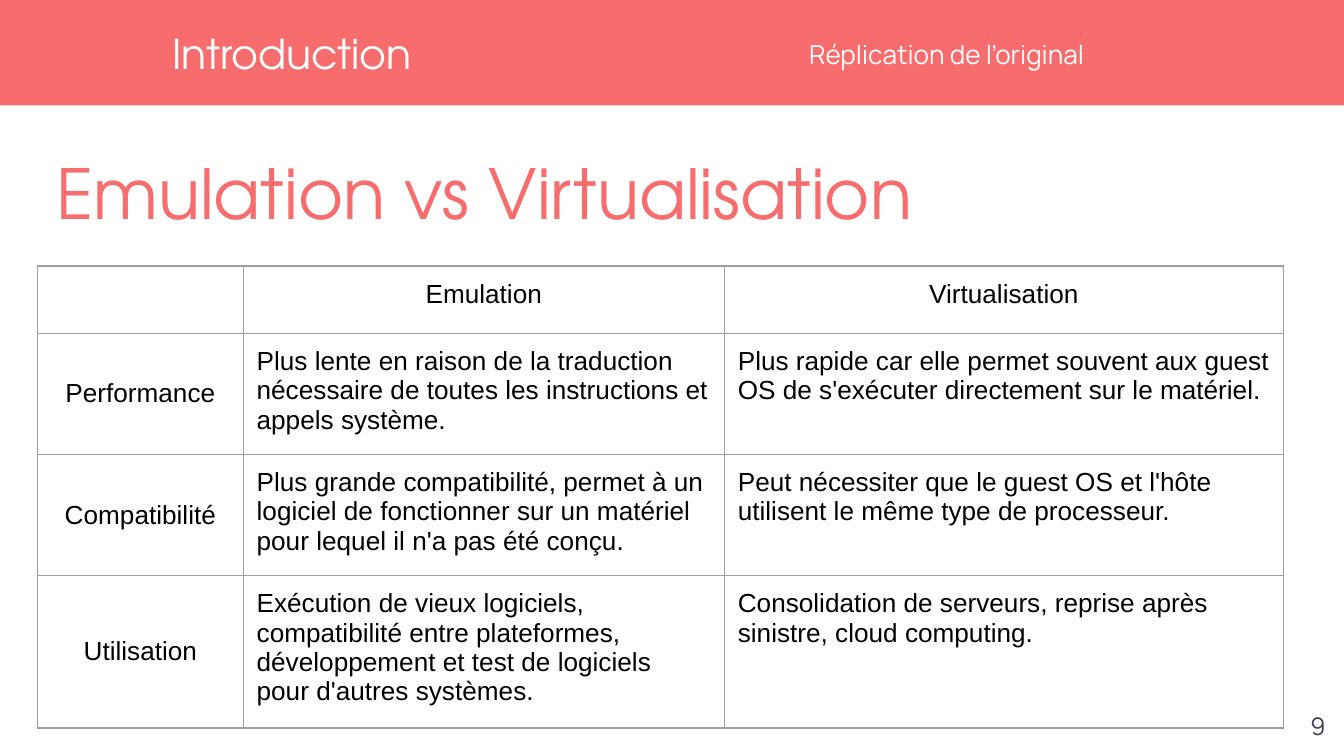
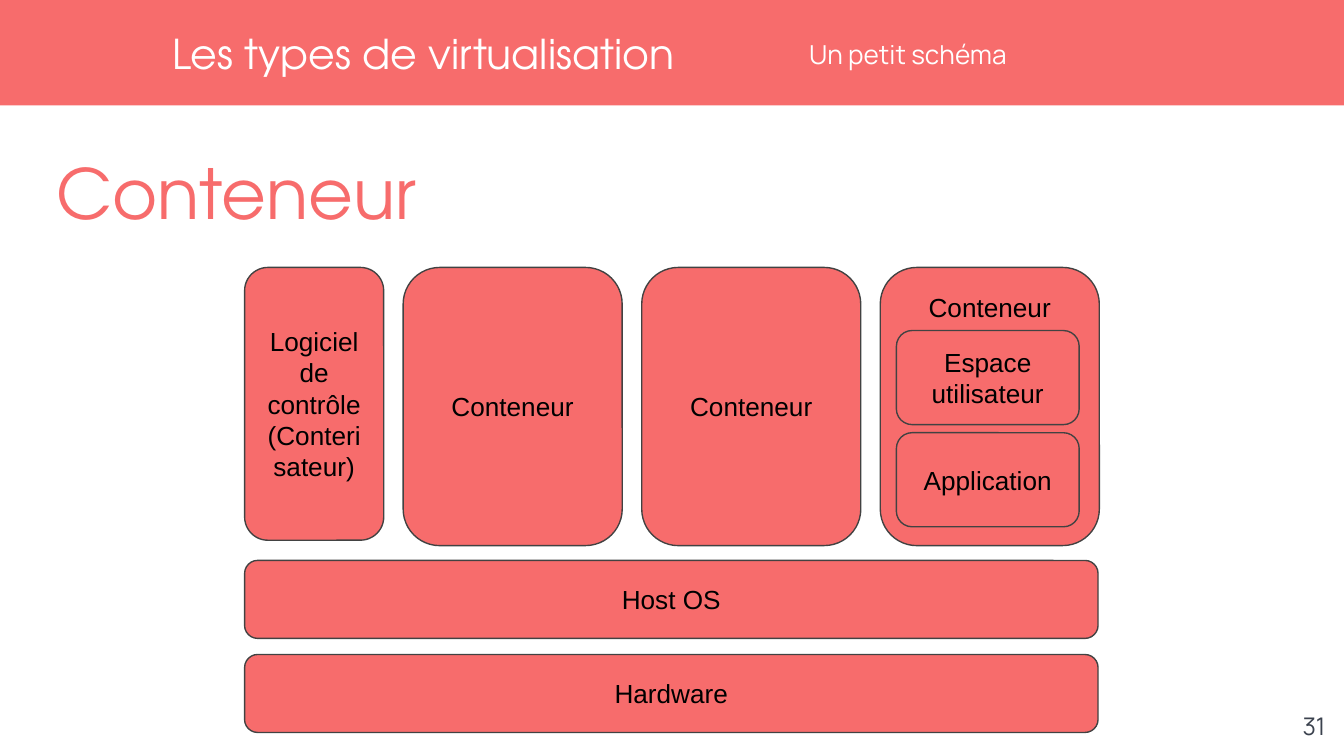
"""Build two course slides: a comparison table and a container diagram."""
from dataclasses import dataclass

from lxml import etree
from pptx import Presentation
from pptx.dml.color import RGBColor
from pptx.enum.shapes import MSO_SHAPE
from pptx.enum.text import MSO_ANCHOR, PP_ALIGN
from pptx.oxml.ns import qn
from pptx.slide import Slide
from pptx.table import _Cell
from pptx.text.text import TextFrame
from pptx.util import Emu, Pt

PX_PER_INCH = 200
EMU_PER_PX = 914400 // PX_PER_INCH
SLIDE_WIDTH, SLIDE_HEIGHT = 2000, 1125
INSET = 20

CORAL = RGBColor(0xF7, 0x6C, 0x6C)
WHITE = RGBColor(0xFF, 0xFF, 0xFF)
BLACK = RGBColor(0x00, 0x00, 0x00)
SLATE = RGBColor(0x3B, 0x42, 0x4E)
OUTLINE = RGBColor(0x42, 0x42, 0x42)
GRID = RGBColor(0x9E, 0x9E, 0x9E)

RECTANGLE = MSO_SHAPE.RECTANGLE
ROUNDED = MSO_SHAPE.ROUNDED_RECTANGLE
TOP, MIDDLE = MSO_ANCHOR.TOP, MSO_ANCHOR.MIDDLE
LEFT, CENTER, RIGHT = PP_ALIGN.LEFT, PP_ALIGN.CENTER, PP_ALIGN.RIGHT

LINE_WIDTH = Pt(0.75)
CORNER = 0.167


@dataclass(frozen=True)
class Box:
    """A rectangle in px."""

    left: int
    top: int
    width: int
    height: int

    def emu(self) -> tuple[Emu, Emu, Emu, Emu]:
        """Return the rectangle in EMU."""
        return px(self.left), px(self.top), px(self.width), px(self.height)


@dataclass(frozen=True)
class TextStyle:
    """The look of a text: font, colour, alignment, anchor and inset."""

    font: str
    size: int
    color: RGBColor
    align: PP_ALIGN = LEFT
    anchor: MSO_ANCHOR = TOP
    inset: int = 0


@dataclass(frozen=True)
class Block:
    """One labelled block of the diagram."""

    label: str
    box: Box
    anchor: MSO_ANCHOR = MIDDLE


@dataclass(frozen=True)
class Header:
    """The texts that every slide carries."""

    chapter: str
    section: str
    title: str
    number: str


BAND = Box(-4, 0, 2008, 157)
SECTION_BOX = Box(1204, 42, 768, 78)
CHAPTER_BOX = Box(256, 0, 938, 157)
TITLE_BOX = Box(84, 224, 1852, 116)
NUMBER_BOX = Box(1872, 1038, 120, 86)

SECTION_STYLE = TextStyle("Manrope", 14, WHITE, anchor=MIDDLE)
CHAPTER_STYLE = TextStyle("TeX Gyre Adventor", 22, WHITE, anchor=MIDDLE)
TITLE_STYLE = TextStyle("TeX Gyre Adventor", 37, CORAL)
NUMBER_STYLE = TextStyle("Manrope", 13, SLATE, RIGHT, inset=INSET)


def body_style(align: PP_ALIGN, anchor: MSO_ANCHOR) -> TextStyle:
    """Return the style of table and diagram text."""
    return TextStyle("Arial", 14, BLACK, align, anchor, INSET)


TABLE_LEFT, TABLE_TOP = 56, 396
COLUMN_WIDTHS = (306, 716, 832)
ROW_HEIGHTS = (100, 170, 170, 170)
COMPARISON = (
    ("", "Emulation", "Virtualisation"),
    (
        "Performance",
        "Plus lente en raison de la traduction nécessaire de toutes les "
        "instructions et appels système.",
        "Plus rapide car elle permet souvent aux guest OS de s'exécuter "
        "directement sur le matériel.",
    ),
    (
        "Compatibilité",
        "Plus grande compatibilité, permet à un logiciel de fonctionner sur "
        "un matériel pour lequel il n'a pas été conçu.",
        "Peut nécessiter que le guest OS et l'hôte utilisent le même type de "
        "processeur.",
    ),
    (
        "Utilisation",
        "Exécution de vieux logiciels, compatibilité entre plateformes, "
        "développement et test de logiciels pour d'autres systèmes.",
        "Consolidation de serveurs, reprise après sinistre, cloud computing.",
    ),
)

STACK_LEFT, STACK_TOP, STACK_WIDTH = 364, 398, 1270
CONTROL_WIDTH, CONTROL_HEIGHT = 207, 406
CONTAINER_WIDTH, CONTAINER_HEIGHT, CONTAINER_GAP = 326, 414, 29
CONTAINER_ANCHORS = (MIDDLE, MIDDLE, TOP)
LAYERS = ("Host OS", "Hardware")
LAYER_TOP, LAYER_HEIGHT, LAYER_GAP = 834, 116, 24
PARTS = ("Espace utilisateur", "Application")
PART_LEFT, PART_TOP, PART_WIDTH, PART_HEIGHT, PART_GAP = 1334, 492, 272, 140, 12


def px(length: int) -> Emu:
    """Turn px into EMU."""
    return Emu(length * EMU_PER_PX)


def write_text(frame: TextFrame, text: str, style: TextStyle) -> None:
    """Write one styled run into the first paragraph of a frame."""
    paragraph = frame.paragraphs[0]
    paragraph.alignment = style.align
    run = paragraph.add_run()
    run.text = text
    run.font.name = style.font
    run.font.size = Pt(style.size)
    run.font.color.rgb = style.color


def fill_frame(frame: TextFrame, text: str, style: TextStyle) -> None:
    """Set the wrapping, anchor and insets of a frame and write its text."""
    frame.word_wrap = True
    frame.vertical_anchor = style.anchor
    frame.margin_left = frame.margin_right = px(style.inset)
    frame.margin_top = frame.margin_bottom = px(style.inset)
    write_text(frame, text, style)


def add_text(slide: Slide, box: Box, text: str, style: TextStyle) -> None:
    """Add a text box."""
    fill_frame(slide.shapes.add_textbox(*box.emu()).text_frame, text, style)


def add_header(slide: Slide, header: Header) -> None:
    """Draw the band, the headings and the slide number."""
    band = slide.shapes.add_shape(RECTANGLE, *BAND.emu())
    band.shadow.inherit = False
    band.fill.solid()
    band.fill.fore_color.rgb = CORAL
    band.line.fill.background()
    add_text(slide, SECTION_BOX, header.section, SECTION_STYLE)
    add_text(slide, CHAPTER_BOX, header.chapter, CHAPTER_STYLE)
    add_text(slide, TITLE_BOX, header.title, TITLE_STYLE)
    add_text(slide, NUMBER_BOX, header.number, NUMBER_STYLE)


def add_borders(cell: _Cell) -> None:
    """Draw a thin grey line on the four sides of a cell."""
    properties = cell._tc.get_or_add_tcPr()
    for index, side in enumerate(("a:lnL", "a:lnR", "a:lnT", "a:lnB")):
        line = etree.Element(qn(side), w=str(LINE_WIDTH))
        fill = etree.SubElement(line, qn("a:solidFill"))
        etree.SubElement(fill, qn("a:srgbClr"), val=str(GRID))
        properties.insert(index, line)


def fill_cell(cell: _Cell, text: str, style: TextStyle) -> None:
    """Clear the cell's fill, draw its borders and write its text."""
    cell.fill.background()
    add_borders(cell)
    cell.vertical_anchor = style.anchor
    cell.margin_left = cell.margin_right = px(style.inset)
    cell.margin_top = cell.margin_bottom = px(style.inset)
    if text:
        write_text(cell.text_frame, text, style)


def add_comparison(slide: Slide) -> None:
    """Draw the comparison table."""
    box = Box(TABLE_LEFT, TABLE_TOP, sum(COLUMN_WIDTHS), sum(ROW_HEIGHTS))
    table = slide.shapes.add_table(
        len(ROW_HEIGHTS), len(COLUMN_WIDTHS), *box.emu()
    ).table
    table.first_row = table.horz_banding = False
    for column, width in zip(table.columns, COLUMN_WIDTHS):
        column.width = px(width)
    for row, height in zip(table.rows, ROW_HEIGHTS):
        row.height = px(height)
    for row_index, texts in enumerate(COMPARISON):
        for column_index, text in enumerate(texts):
            heading = row_index == 0 or column_index == 0
            style = body_style(
                CENTER if heading else LEFT,
                MIDDLE if row_index and not column_index else TOP,
            )
            fill_cell(table.cell(row_index, column_index), text, style)


def add_block(slide: Slide, block: Block) -> None:
    """Draw one rounded block of the diagram."""
    shape = slide.shapes.add_shape(ROUNDED, *block.box.emu())
    shape.adjustments[0] = CORNER
    shape.shadow.inherit = False
    shape.fill.solid()
    shape.fill.fore_color.rgb = CORAL
    shape.line.color.rgb = OUTLINE
    shape.line.width = LINE_WIDTH
    fill_frame(shape.text_frame, block.label, body_style(CENTER, block.anchor))


def container_blocks() -> list[Block]:
    """Lay out the diagram from back to front."""
    layers = [
        Block(label, Box(STACK_LEFT, LAYER_TOP + index * (LAYER_HEIGHT + LAYER_GAP),
                         STACK_WIDTH, LAYER_HEIGHT))
        for index, label in enumerate(LAYERS)
    ]
    control = Block(
        "Logiciel de contrôle (Conterisateur)",
        Box(STACK_LEFT, STACK_TOP, CONTROL_WIDTH, CONTROL_HEIGHT),
    )
    first_left = STACK_LEFT + CONTROL_WIDTH + CONTAINER_GAP
    containers = [
        Block("Conteneur", Box(first_left + index * (CONTAINER_WIDTH + CONTAINER_GAP),
                               STACK_TOP, CONTAINER_WIDTH, CONTAINER_HEIGHT), anchor)
        for index, anchor in enumerate(CONTAINER_ANCHORS)
    ]
    parts = [
        Block(label, Box(PART_LEFT, PART_TOP + index * (PART_HEIGHT + PART_GAP),
                         PART_WIDTH, PART_HEIGHT))
        for index, label in enumerate(PARTS)
    ]
    return [*layers, control, *containers, *parts]


def add_diagram(slide: Slide) -> None:
    """Draw the container diagram."""
    for block in container_blocks():
        add_block(slide, block)


SLIDES = (
    (Header("Introduction", "Réplication de l’original",
            "Emulation vs Virtualisation", "9"), add_comparison),
    (Header("Les types de virtualisation", "Un petit schéma",
            "Conteneur", "31"), add_diagram),
)


def main() -> None:
    """Build and save the presentation."""
    presentation = Presentation()
    presentation.slide_width = px(SLIDE_WIDTH)
    presentation.slide_height = px(SLIDE_HEIGHT)
    blank = presentation.slide_layouts[6]
    for header, add_content in SLIDES:
        slide = presentation.slides.add_slide(blank)
        add_header(slide, header)
        add_content(slide)
    presentation.save("out.pptx")


if __name__ == "__main__":
    main()
